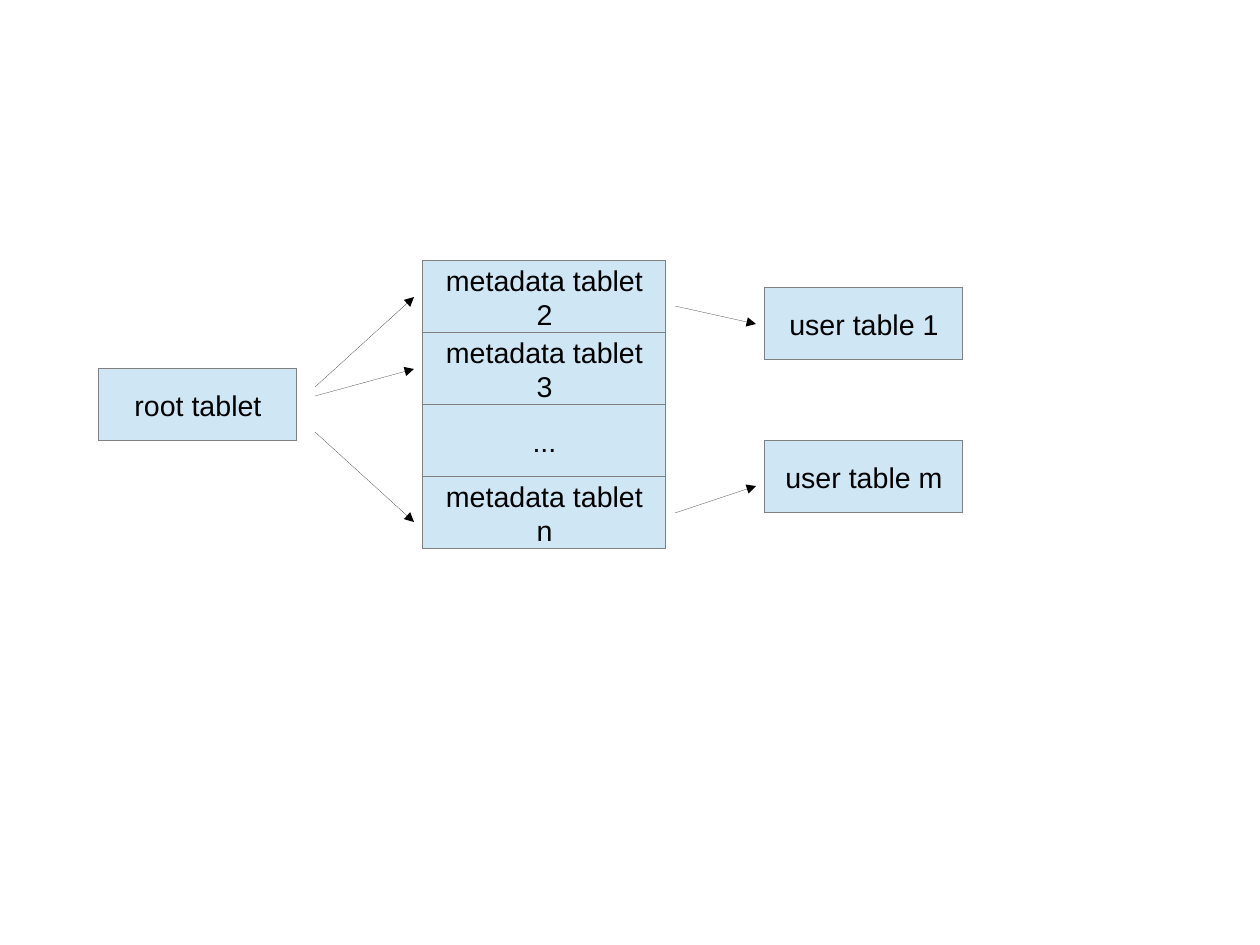
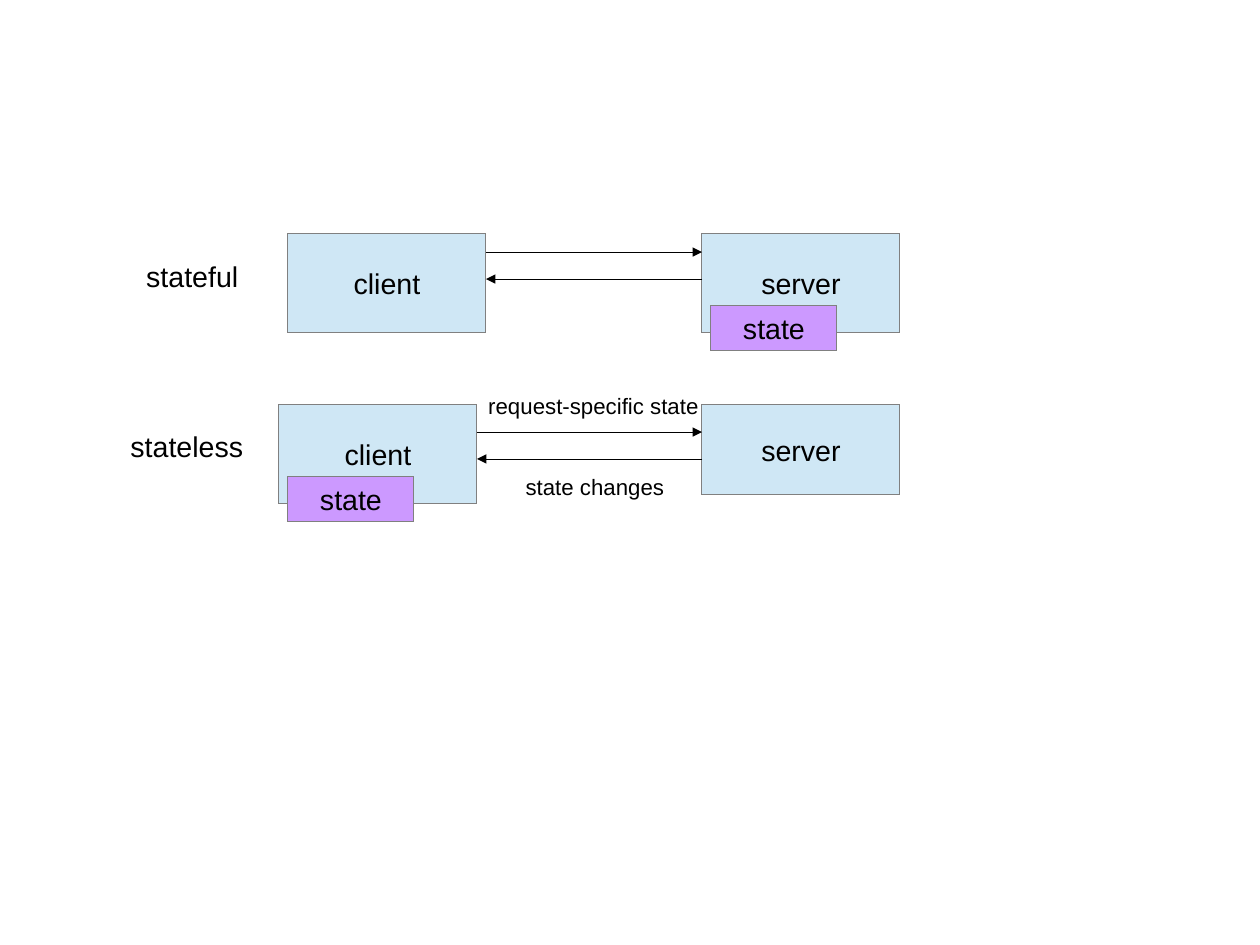
from lxml import etree
from pptx import Presentation
from pptx.dml.color import RGBColor
from pptx.enum.shapes import MSO_CONNECTOR, MSO_SHAPE
from pptx.enum.text import MSO_ANCHOR, MSO_AUTO_SIZE, PP_ALIGN
from pptx.oxml.ns import qn
from pptx.util import Cm, Pt

RECTANGLE = MSO_SHAPE.RECTANGLE
STRAIGHT = MSO_CONNECTOR.STRAIGHT
MIDDLE, TOP = MSO_ANCHOR.MIDDLE, MSO_ANCHOR.TOP
CENTER, LEFT = PP_ALIGN.CENTER, PP_ALIGN.LEFT
FIT_TEXT = MSO_AUTO_SIZE.SHAPE_TO_FIT_TEXT

LIGHT_BLUE = RGBColor(0xCF, 0xE7, 0xF5)
VIOLET = RGBColor(0xCC, 0x99, 0xFF)
GRAY = RGBColor(0x80, 0x80, 0x80)
BLACK = RGBColor(0x00, 0x00, 0x00)

FONT = "Arial"
BODY_SIZE, NOTE_SIZE = 18, 14
NODE_WIDTH = 4.4


def write_text(shape, text, size, alignment, frame_format):
    frame = shape.text_frame
    margins = {"margin_left": Cm(0.25), "margin_right": Cm(0.25),
               "margin_top": Cm(0.13), "margin_bottom": Cm(0.13)}
    for name, value in {**margins, **frame_format}.items():
        setattr(frame, name, value)
    paragraph = frame.paragraphs[0]
    paragraph.text = text
    paragraph.alignment = alignment
    for name, value in {"name": FONT, "size": Pt(size)}.items():
        setattr(paragraph.font, name, value)
    paragraph.font.color.rgb = BLACK


def set_hairline(shape, color):
    """Set a zero-width line; line.width drops a zero, so the XML is written."""
    shape.line.color.rgb = color
    outline = shape._element.spPr.find(qn("a:ln"))
    outline.set("w", "0")
    return outline


def add_node(slide, text, left, top, width, height, color=LIGHT_BLUE):
    node = slide.shapes.add_shape(RECTANGLE, Cm(left), Cm(top), Cm(width), Cm(height))
    node.shadow.inherit = False
    node.fill.solid()
    node.fill.fore_color.rgb = color
    set_hairline(node, GRAY)
    write_text(node, text, BODY_SIZE, CENTER,
               {"word_wrap": True, "vertical_anchor": MIDDLE})


def add_label(slide, text, left, top, width, height, size=BODY_SIZE, wrap=True):
    label = slide.shapes.add_textbox(Cm(left), Cm(top), Cm(width), Cm(height))
    write_text(label, text, size, LEFT,
               {"word_wrap": wrap, "vertical_anchor": TOP, "auto_size": FIT_TEXT})


def add_arrow(slide, start_x, start_y, end_x, end_y):
    arrow = slide.shapes.add_connector(
        STRAIGHT, Cm(start_x), Cm(start_y), Cm(end_x), Cm(end_y))
    outline = set_hairline(arrow, BLACK)
    etree.SubElement(outline, qn("a:tailEnd"), type="triangle")
    etree.SubElement(arrow._element.spPr, qn("a:effectLst"))


def add_tablet_hierarchy(slide, left, top):
    """Draw root, metadata and user tables in three columns from left to right."""
    row_height, metadata_width = 1.6, 5.4
    metadata_left, user_left = left + 7.2, left + 14.8

    add_node(slide, "root tablet", left, top + 2.4, NODE_WIDTH, row_height)
    metadata = ("metadata tablet 2", "metadata tablet 3", "...", "metadata tablet n")
    for row, text in enumerate(metadata):
        add_node(slide, text, metadata_left, top + row * row_height,
                 metadata_width, row_height)
    for text, offset in (("user table 1", 0.6), ("user table m", 4.0)):
        add_node(slide, text, user_left, top + offset, NODE_WIDTH, row_height)

    root_exit = left + NODE_WIDTH + 0.4
    for start, end in ((2.8, 0.8), (3.0, 2.4), (3.8, 5.8)):
        add_arrow(slide, root_exit, top + start, metadata_left - 0.2, top + end)
    metadata_exit = metadata_left + metadata_width + 0.2
    for start, end in ((1.0, 1.4), (5.6, 5.0)):
        add_arrow(slide, metadata_exit, top + start, user_left - 0.2, top + end)


def add_exchange(slide, client_left, server_left, top, server_height,
                 request_offset, state_left):
    """Draw a client and a server, with the state on the one at state_left."""
    client_height = 2.2
    client_right = client_left + NODE_WIDTH
    request_y = top + request_offset
    reply_y = request_y + 0.6
    add_node(slide, "client", client_left, top, NODE_WIDTH, client_height)
    add_node(slide, "server", server_left, top, NODE_WIDTH, server_height)
    add_arrow(slide, client_right, request_y, server_left, request_y)
    add_arrow(slide, server_left, reply_y, client_right, reply_y)
    add_node(slide, "state", state_left + 0.2, top + 1.6, 2.8, 1, VIOLET)


def add_state_comparison(slide, left, top):
    """Draw the stateful exchange above the stateless one."""
    stateful_client, stateless_client = left + 3.8, left + 3.6
    server_left, stateless_top = left + 13, top + 3.8

    add_exchange(slide, stateful_client, server_left, top, 2.2, 0.4, server_left)
    add_exchange(slide, stateless_client, server_left, stateless_top, 2, 0.6,
                 stateless_client)

    add_label(slide, "stateful", left + 0.4, top + 0.42, 2.8, 1.2)
    add_label(slide, "stateless", left + 0.05, stateless_top + 0.4, 3.15, 1.2)
    add_label(slide, "request-specific state", left + 8, stateless_top - 0.42,
              5.2, 0.8, NOTE_SIZE, False)
    add_label(slide, "state changes", left + 8.83, stateless_top + 1.38,
              3.6, 0.8, NOTE_SIZE, False)


def main():
    presentation = Presentation()
    presentation.slide_width = Cm(28)
    presentation.slide_height = Cm(21)
    blank_layout = presentation.slide_layouts[6]
    for add_diagram, left, top in ((add_tablet_hierarchy, 2.2, 5.8),
                                   (add_state_comparison, 2.6, 5.2)):
        add_diagram(presentation.slides.add_slide(blank_layout), left, top)
    presentation.save("out.pptx")


if __name__ == "__main__":
    main()
